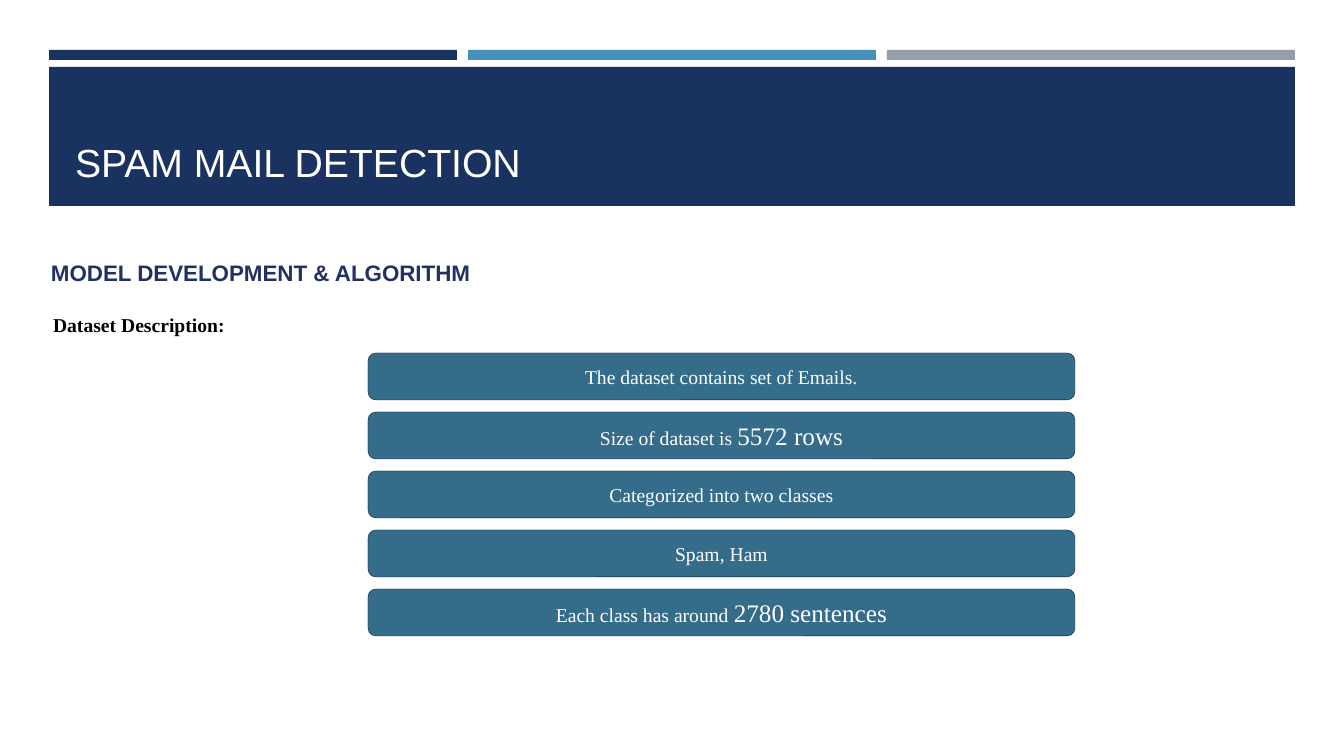
import pptx
import pptx.dml.color
import pptx.enum.shapes
import pptx.enum.text
import pptx.util

PX = 914400 / 100.8
COLORS = {
    "navy": "1A3260", "blue": "4590B8", "grey": "969FA7", "teal": "346C8A",
    "outline": "0B162A", "heading": "213163", "black": "000000", "white": "FFFFFF",
}
FACTS = [
    [("The dataset contains set of Emails.", 14)],
    [("Size of dataset is ", 14), ("5572 rows", 18)],
    [("Categorized into two classes", 14)],
    [("Spam, Ham", 14)],
    [("Each class has around ", 14), ("2780 sentences", 18)],
]
SHAPE = pptx.enum.shapes.MSO_SHAPE
ANCHOR = pptx.enum.text.MSO_ANCHOR


def px(n):
    return pptx.util.Emu(round(n * PX))


def rgb(name):
    return pptx.dml.color.RGBColor.from_string(COLORS[name])


def add_block(s, box, fill, kind=SHAPE.RECTANGLE, line=None):
    sp = s.shapes.add_shape(kind, *map(px, box))
    sp.shadow.inherit = False
    sp.fill.solid()
    sp.fill.fore_color.rgb = rgb(fill)
    if line:
        sp.line.color.rgb = rgb(line)
        sp.line.width = pptx.util.Pt(0.25)
    else:
        sp.line.fill.background()
    return sp


def write(p, parts, font, color, bold=False):
    """Fill a paragraph with (text, size) runs."""
    for text, size in parts:
        r = p.add_run()
        r.text = text
        r.font.name = font
        r.font.size = pptx.util.Pt(size)
        r.font.bold = bold
        r.font.color.rgb = rgb(color)


def add_label(s, box, text, size, font, color, bold=False,
              anchor=ANCHOR.TOP, pad=10):
    tf = s.shapes.add_textbox(*map(px, box)).text_frame
    tf.word_wrap = True
    tf.vertical_anchor = anchor
    tf.margin_left = tf.margin_right = px(10)
    tf.margin_top = tf.margin_bottom = px(pad)
    write(tf.paragraphs[0], [(text, size)], font, color, bold)


def add_header(s, x, y, w, h):
    """Three accent bars above the title banner."""
    gap, bar_h, banner_top = 11, 10, 17
    bar_w = (w - 2 * gap) / 3
    for i, color in enumerate(("navy", "blue", "grey")):
        add_block(s, (x + i * (bar_w + gap), y, bar_w, bar_h), color)
    add_block(s, (x, y + banner_top, w, h - banner_top), "navy")
    add_label(s, (x + 16, y + 31, w - 32, 109), "SPAM MAIL DETECTION", 28,
              "Arial", "white", anchor=ANCHOR.BOTTOM, pad=5)


def add_headings(s, x, y, w):
    add_label(s, (x, y, w, 47), "MODEL DEVELOPMENT & ALGORITHM", 16,
              "Arial", "heading", bold=True)
    add_label(s, (x + 2, y + 54, w - 9, 55), "Dataset Description:", 14,
              "Times New Roman", "black", bold=True)


def add_facts(s, x, y, w, h):
    """Stack of equal rounded boxes filling the given height."""
    box_h = 47
    pitch = (h - box_h) / (len(FACTS) - 1)
    for i, parts in enumerate(FACTS):
        sp = add_block(s, (x, y + i * pitch, w, box_h), "teal",
                       SHAPE.ROUNDED_RECTANGLE, "outline")
        tf = sp.text_frame
        tf.word_wrap = True
        tf.vertical_anchor = ANCHOR.MIDDLE
        p = tf.paragraphs[0]
        p.alignment = pptx.enum.text.PP_ALIGN.CENTER
        write(p, parts, "Times New Roman", "white")


def main():
    prs = pptx.Presentation()
    prs.slide_width, prs.slide_height = px(1344), px(756)
    s = prs.slides.add_slide(prs.slide_layouts[6])
    add_header(s, 49, 50, 1246, 156)
    add_headings(s, 41, 249, 679)
    add_facts(s, 368, 353, 707, 283)
    prs.save("out.pptx")


if __name__ == "__main__":
    main()
